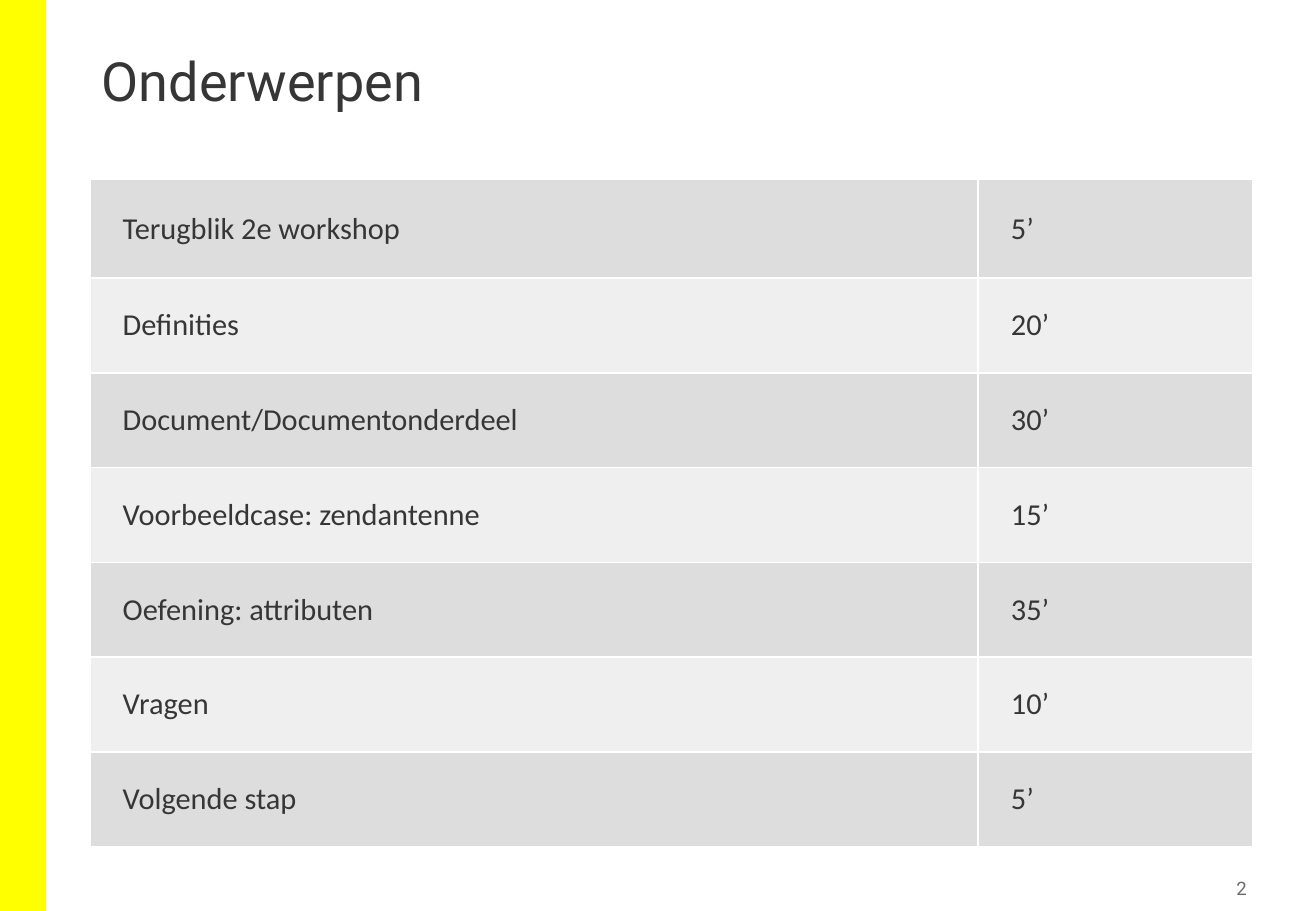
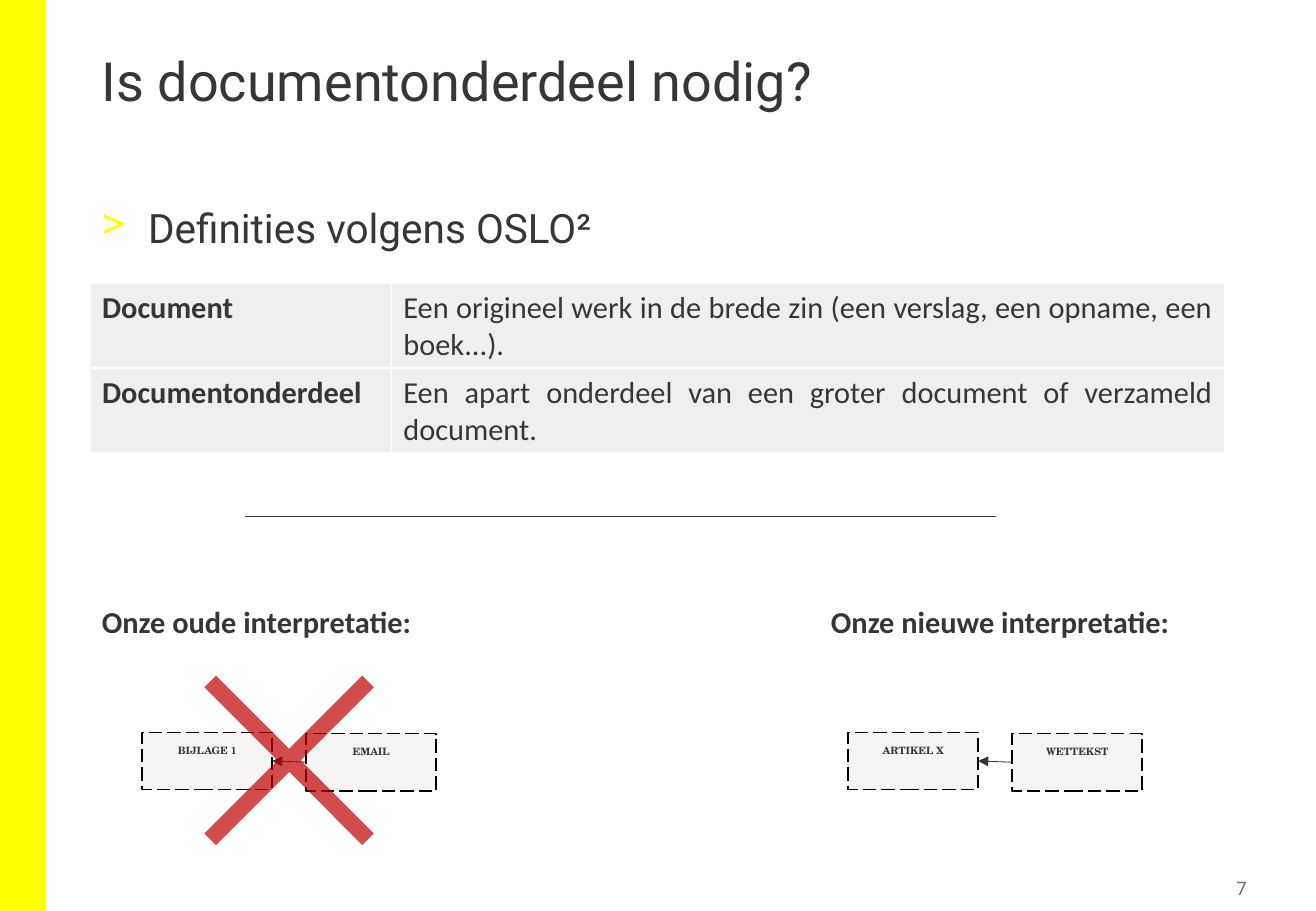
from lxml import etree
from pptx import Presentation
from pptx.dml.color import RGBColor
from pptx.enum.dml import MSO_LINE
from pptx.enum.shapes import MSO_CONNECTOR as CONNECTOR, MSO_SHAPE as SHAPE
from pptx.enum.text import MSO_ANCHOR as ANCHOR, PP_ALIGN as ALIGN
from pptx.oxml.ns import qn
from pptx.util import Pt

PX = 9144  # 100 px to the inch
WIDTH, HEIGHT = 1083, 750
MARGIN, CONTENT_W = 74, 934

YELLOW = RGBColor(0xFF, 0xFF, 0x00)
WHITE = RGBColor(0xFF, 0xFF, 0xFF)
BLACK = RGBColor(0x00, 0x00, 0x00)
INK = RGBColor(0x37, 0x36, 0x36)
GREY = RGBColor(0x6B, 0x6B, 0x6B)
DARK_ROW = RGBColor(0xDD, 0xDD, 0xDD)
LIGHT_ROW = RGBColor(0xEF, 0xEF, 0xEF)
BOX = RGBColor(0xF6, 0xF5, 0xF3)
RED = RGBColor(0xC0, 0x00, 0x00)

HEAD_FONT, BODY_FONT, BOX_FONT = "Roboto", "Calibri", "TeX Gyre Schola"


def px(*lengths):
    return [n * PX for n in lengths]


def sub(parent, tag, **attrs):
    return etree.SubElement(parent, qn(tag), attrs)


class Deck:
    def __init__(self):
        self.prs = Presentation()
        self.prs.slide_width, self.prs.slide_height = px(WIDTH, HEIGHT)

    def slide(self, title, number):
        """Start a slide with the shared band, title and page number."""
        self.s = self.prs.slides.add_slide(self.prs.slide_layouts[6])
        self.shape(SHAPE.RECTANGLE, 0, 0, 38, HEIGHT, YELLOW)
        self.text(title, MARGIN, 40, CONTENT_W, 108, 32).line_spacing = 0.9
        self.text(number, 950, 717, 81, 29, 11, color=GREY, align=ALIGN.RIGHT,
                  anchor=ANCHOR.MIDDLE, inset=5)

    def style(self, p, size, font, color=INK, bold=False, align=ALIGN.LEFT):
        p.font.size, p.font.name, p.font.bold = Pt(size), font, bold
        p.font.color.rgb = color
        p.alignment = align

    def text(self, text, x, y, w, h, size, font=HEAD_FONT, color=INK, bold=False,
             align=ALIGN.LEFT, anchor=ANCHOR.TOP, inset=None):
        tf = self.s.shapes.add_textbox(*px(x, y, w, h)).text_frame
        tf.word_wrap, tf.vertical_anchor = True, anchor
        if inset is not None:
            self.inset(tf, inset)
        p = tf.paragraphs[0]
        p.text = text
        self.style(p, size, font, color, bold, align)
        return p

    def inset(self, tf, n):
        tf.margin_left = tf.margin_top = tf.margin_right = tf.margin_bottom = n * PX

    def bullet(self, text, y, h):
        p = self.text(text, MARGIN, y, CONTENT_W, h, 24)
        pPr = p._p.get_or_add_pPr()
        pPr.set("marL", str(38 * PX))
        pPr.set("indent", str(-38 * PX))
        sub(sub(pPr, "a:buClr"), "a:srgbClr", val=str(YELLOW))
        sub(pPr, "a:buChar", char=">")

    def shape(self, kind, x, y, w, h, fill):
        sp = self.s.shapes.add_shape(kind, *px(x, y, w, h))
        sp.shadow.inherit = False
        sp.fill.solid()
        sp.fill.fore_color.rgb = fill
        sp.line.fill.background()
        return sp

    def box(self, label, x, y):
        sp = self.shape(SHAPE.RECTANGLE, x, y, 107, 47, BOX)
        sp.line.color.rgb, sp.line.width = BLACK, Pt(1)
        sp.line.dash_style = MSO_LINE.LONG_DASH
        tf = sp.text_frame
        tf.word_wrap, tf.vertical_anchor = True, ANCHOR.TOP
        self.inset(tf, 10)
        p = tf.paragraphs[0]
        p.text = label
        self.style(p, 6, BOX_FONT, bold=True, align=ALIGN.CENTER)
        return sp

    def line(self, x1=0, y1=0, x2=0, y2=0):
        line = self.s.shapes.add_connector(CONNECTOR.STRAIGHT, *px(x1, y1, x2, y2))
        line.line.color.rgb, line.line.width = INK, Pt(0.5)
        sub(line._element.spPr, "a:effectLst")
        return line

    def box_pair(self, part, whole, x, y):
        """Two boxes, with an arrow from the whole to its part."""
        left, right = self.box(part, x, y), self.box(whole, x + 135, y + 1)
        arrow = self.line()
        arrow.begin_connect(right, 1)
        arrow.end_connect(left, 3)
        sub(arrow.line._get_or_add_ln(), "a:tailEnd", type="triangle")

    def cross(self, x, y, size):
        sp = self.shape(SHAPE.MATH_MULTIPLY, x, y, size, size, RED)
        sp.adjustments[0] = 0.054
        color = sp._element.spPr.find(qn("a:solidFill")).find(qn("a:srgbClr"))
        sub(color, "a:alpha", val="70000")

    def table(self, rows, y, cols, heights, fills, anchor=ANCHOR.TOP, indent=10,
              bold_first=False, last_align=ALIGN.LEFT):
        frame = self.s.shapes.add_table(len(rows), len(cols),
                                        *px(MARGIN, y, sum(cols), sum(heights)))
        table = frame.table
        table.first_row = table.horz_banding = False
        for col, w in zip(table.columns, cols):
            col.width = w * PX
        for i, (row, h) in enumerate(zip(rows, heights)):
            table.rows[i].height = h * PX
            for j, text in enumerate(row):
                cell = table.cell(i, j)
                self.borders(cell)
                cell.fill.solid()
                cell.fill.fore_color.rgb = fills[i % len(fills)]
                cell.vertical_anchor, cell.margin_left = anchor, indent * PX
                p = cell.text_frame.paragraphs[0]
                p.text = text
                self.style(p, 18, BODY_FONT, bold=bold_first and j == 0,
                           align=last_align if j else ALIGN.LEFT)

    def borders(self, cell):
        tcPr = cell._tc.get_or_add_tcPr()
        for side in "LRTB":
            ln = sub(tcPr, f"a:ln{side}", w=str(Pt(1)))
            sub(sub(ln, "a:solidFill"), "a:srgbClr", val=str(WHITE))


def topics(deck):
    deck.slide("Onderwerpen", "2")
    rows = [
        ("Terugblik 2e workshop", "5’"),
        ("Definities", "20’"),
        ("Document/Documentonderdeel", "30’"),
        ("Voorbeeldcase: zendantenne", "15’"),
        ("Oefening: attributen", "35’"),
        ("Vragen", "10’"),
        ("Volgende stap", "5’"),
    ]
    deck.table(rows, 148, (731, 226), [81] + [78] * 6, (DARK_ROW, LIGHT_ROW),
               anchor=ANCHOR.MIDDLE, indent=27)


def definitions(deck):
    deck.slide("Is documentonderdeel nodig?", "7")
    deck.bullet("Definities volgens OSLO²", 162, 60)
    rows = [
        ("Document",
         "Een origineel werk in de brede zin (een verslag, een opname, een boek...)."),
        ("Documentonderdeel",
         "Een apart onderdeel van een groter document of verzameld document."),
    ]
    deck.table(rows, 233, (248, 686), (70, 70), (LIGHT_ROW,),
               bold_first=True, last_align=ALIGN.JUSTIFY)
    deck.line(202, 425, 820, 425)
    for label, x in (("Onze oude interpretatie:", MARGIN),
                     ("Onze nieuwe interpretatie:", 674)):
        deck.text(label, x, 492, 357, 40, 18, BODY_FONT, bold=True)
    deck.box_pair("BIJLAGE 1", "EMAIL", 117, 603)
    deck.box_pair("ARTIKEL X", "WETTEKST", 698, 603)
    deck.cross(113, 501, 250)


def main():
    deck = Deck()
    topics(deck)
    definitions(deck)
    deck.prs.save("out.pptx")


if __name__ == "__main__":
    main()
